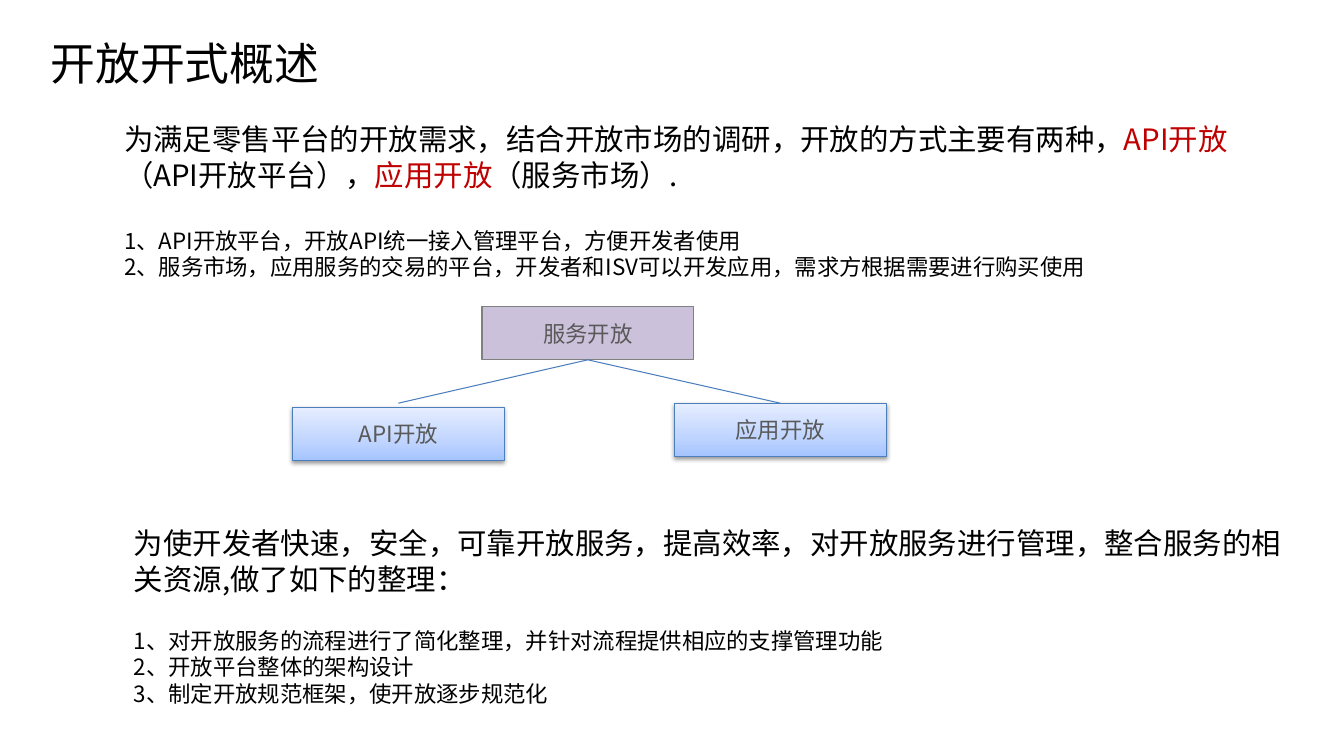
from copy import deepcopy

from lxml import etree
from pptx import Presentation
from pptx.dml.color import RGBColor
from pptx.enum.shapes import MSO_CONNECTOR, MSO_SHAPE
from pptx.enum.text import MSO_ANCHOR, PP_ALIGN
from pptx.oxml.ns import qn
from pptx.util import Emu, Pt

RECTANGLE = MSO_SHAPE.RECTANGLE
STRAIGHT = MSO_CONNECTOR.STRAIGHT
MIDDLE = MSO_ANCHOR.MIDDLE
CENTER = PP_ALIGN.CENTER
PX = 9144
TOP, BOTTOM = 0, 2
NODE_WIDTH, NODE_HEIGHT = 210, 53

BLACK = RGBColor(0x00, 0x00, 0x00)
RED = RGBColor(0xC0, 0x00, 0x00)
GRAY_TEXT = RGBColor(0x59, 0x59, 0x59)
GRAY_LINE = RGBColor(0x80, 0x80, 0x80)
PURPLE = RGBColor(0xCC, 0xC1, 0xDA)
BLUE_LINE = RGBColor(0x4B, 0x7E, 0xBC)
BLUE_STOPS = (
    (0, RGBColor(0xA4, 0xC4, 0xFF)),
    (0.35, RGBColor(0xBF, 0xD4, 0xFF)),
    (1, RGBColor(0xE6, 0xEE, 0xFF)),
)
CJK_FONT = "Noto Sans CJK SC"
TITLE_FONT = "Arial"
LINE_PITCH = {32: 38, 21: 25.4, 16: 19}


def px(*lengths):
    """Convert pixel lengths to EMU."""
    return [Emu(length * PX) for length in lengths]


def set_insets(frame, side, edge):
    """Set the horizontal and vertical text margins."""
    frame.margin_left, frame.margin_right = px(side, side)
    frame.margin_top, frame.margin_bottom = px(edge, edge)


def format_run(run, size, color, font=CJK_FONT):
    """Apply size, colour and typefaces to a run."""
    run.font.size = Pt(size)
    run.font.color.rgb = color
    run.font.name = font
    east_asian = etree.SubElement(run.font._element, qn("a:ea"))
    east_asian.set("typeface", CJK_FONT)


def add_text(slide, box, insets, paragraphs, font=CJK_FONT):
    """Add a text box from (size, gap after, coloured pieces) paragraphs."""
    frame = slide.shapes.add_textbox(*px(*box)).text_frame
    frame.word_wrap = True
    set_insets(frame, *insets)
    for index, (size, gap, pieces) in enumerate(paragraphs):
        paragraph = frame.add_paragraph() if index else frame.paragraphs[0]
        paragraph.line_spacing = Pt(LINE_PITCH[size])
        paragraph.space_after = Pt(gap)
        for wording, color in pieces:
            run = paragraph.add_run()
            run.text = wording
            format_run(run, size, color, font)


def add_node(slide, left, top, label):
    """Add a labelled purple rectangle of the tree."""
    node = slide.shapes.add_shape(RECTANGLE, *px(left, top, NODE_WIDTH, NODE_HEIGHT))
    node.shadow.inherit = False
    node.fill.solid()
    node.fill.fore_color.rgb = PURPLE
    node.line.color.rgb = GRAY_LINE
    node.line.width = Pt(1)
    frame = node.text_frame
    set_insets(frame, 13, 7)
    frame.vertical_anchor = MIDDLE
    frame.text = label
    frame.paragraphs[0].alignment = CENTER
    format_run(frame.paragraphs[0].runs[0], 16, GRAY_TEXT)
    return node


def add_branch_node(slide, left, top, label):
    """Add a tree node with a blue gradient and a soft shadow."""
    node = add_node(slide, left, top, label)
    node.line.color.rgb = BLUE_LINE
    node.line.width = Pt(0.75)
    node.fill.gradient()
    node.fill.gradient_angle = 90
    properties = node._element.spPr
    stop_list = properties.find(".//" + qn("a:gsLst"))
    stop_list.append(deepcopy(stop_list[0]))
    for stop, (position, color) in zip(node.fill.gradient_stops, BLUE_STOPS):
        stop.position = position
        stop.color.rgb = color
    shadow = etree.SubElement(
        properties.find(qn("a:effectLst")), qn("a:outerShdw"),
        blurRad=str(Pt(3.1)), dist=str(Pt(1.6)), dir="5400000", rotWithShape="0")
    shade = etree.SubElement(shadow, qn("a:srgbClr"), val=str(BLACK))
    etree.SubElement(shade, qn("a:alpha"), val="38000")
    return node


def add_branch(slide, parent, end_x, end_y):
    """Draw a line from the bottom of the parent node to a point."""
    branch = slide.shapes.add_connector(STRAIGHT, *px(583, 357, end_x, end_y))
    branch.begin_connect(parent, BOTTOM)
    branch.line.color.rgb = BLUE_LINE
    branch.line.width = Pt(0.75)
    etree.SubElement(branch._element.spPr, qn("a:effectLst"))
    return branch


def main():
    """Build the overview slide and save it."""
    deck = Presentation()
    deck.slide_width, deck.slide_height = px(1333, 750)
    slide = deck.slides.add_slide(deck.slide_layouts[6])

    add_text(slide, (37, 29, 882, 67), (13, 7),
             [(32, 0, [("开放开式概述", BLACK)])], TITLE_FONT)
    add_text(slide, (110, 113, 1155, 362), (13, 7), [
        (21, 25, [
            ("为满足零售平台的开放需求，结合开放市场的调研，开放的方式主要有两种，", BLACK),
            ("API开放", RED),
            ("（API开放平台），", BLACK),
            ("应用开放", RED),
            ("（服务市场）.", BLACK),
        ]),
        (16, 0, [("1、API开放平台，开放API统一接入管理平台，方便开发者使用", BLACK)]),
        (16, 0, [("2、服务市场，应用服务的交易的平台，开发者和ISV可以开发应用，"
                  "需求方根据需要进行购买使用", BLACK)]),
    ])

    service = add_node(slide, 478, 304, "服务开放")
    add_branch_node(slide, 290, 404, "API开放")
    application = add_branch_node(slide, 669, 400, "应用开放")
    add_branch(slide, service, 395, 400)
    add_branch(slide, service, 774, 400).end_connect(application, TOP)

    add_text(slide, (123, 516, 1165, 192), (10, 5), [
        (21, 22, [("为使开发者快速，安全，可靠开放服务，提高效率，对开放服务进行管理，"
                   "整合服务的相关资源,做了如下的整理：", BLACK)]),
        (16, 0, [("1、对开放服务的流程进行了简化整理，并针对流程提供相应的支撑管理功能", BLACK)]),
        (16, 0, [("2、开放平台整体的架构设计", BLACK)]),
        (16, 0, [("3、制定开放规范框架，使开放逐步规范化", BLACK)]),
    ])
    deck.save("out.pptx")


if __name__ == "__main__":
    main()
